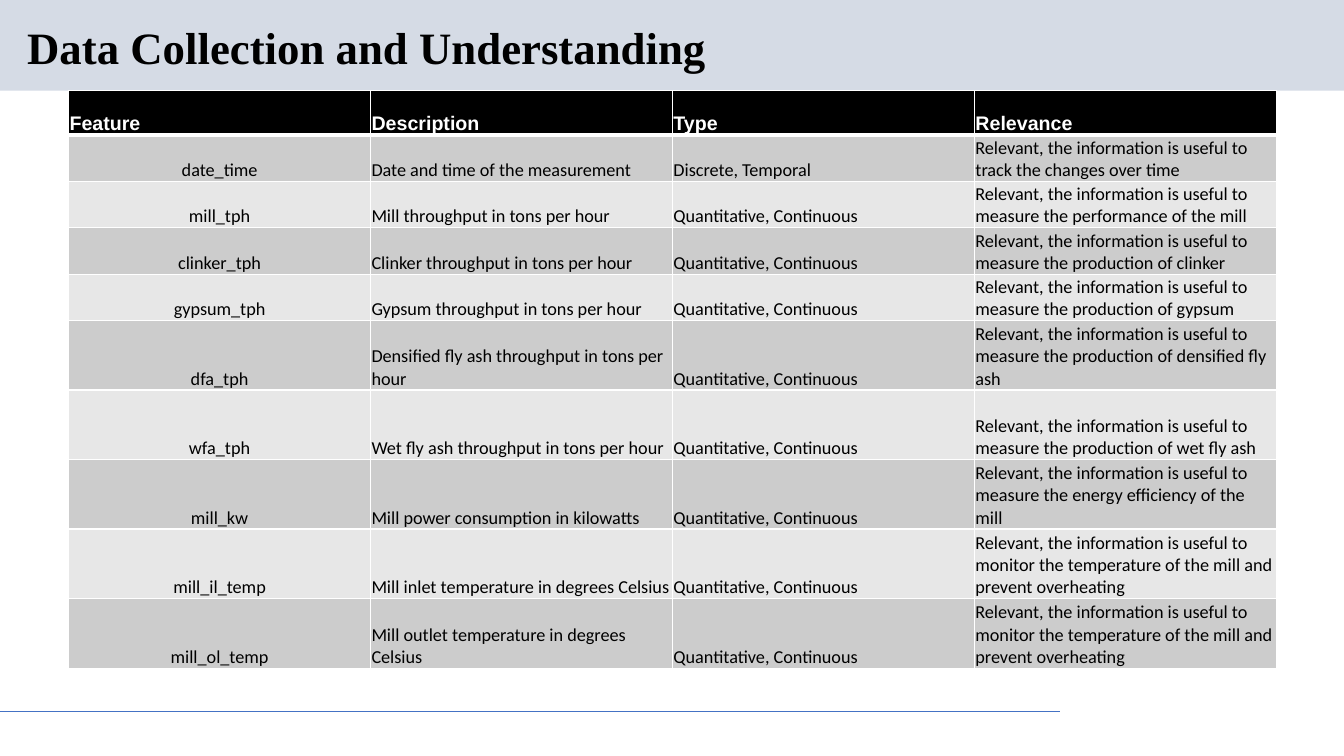
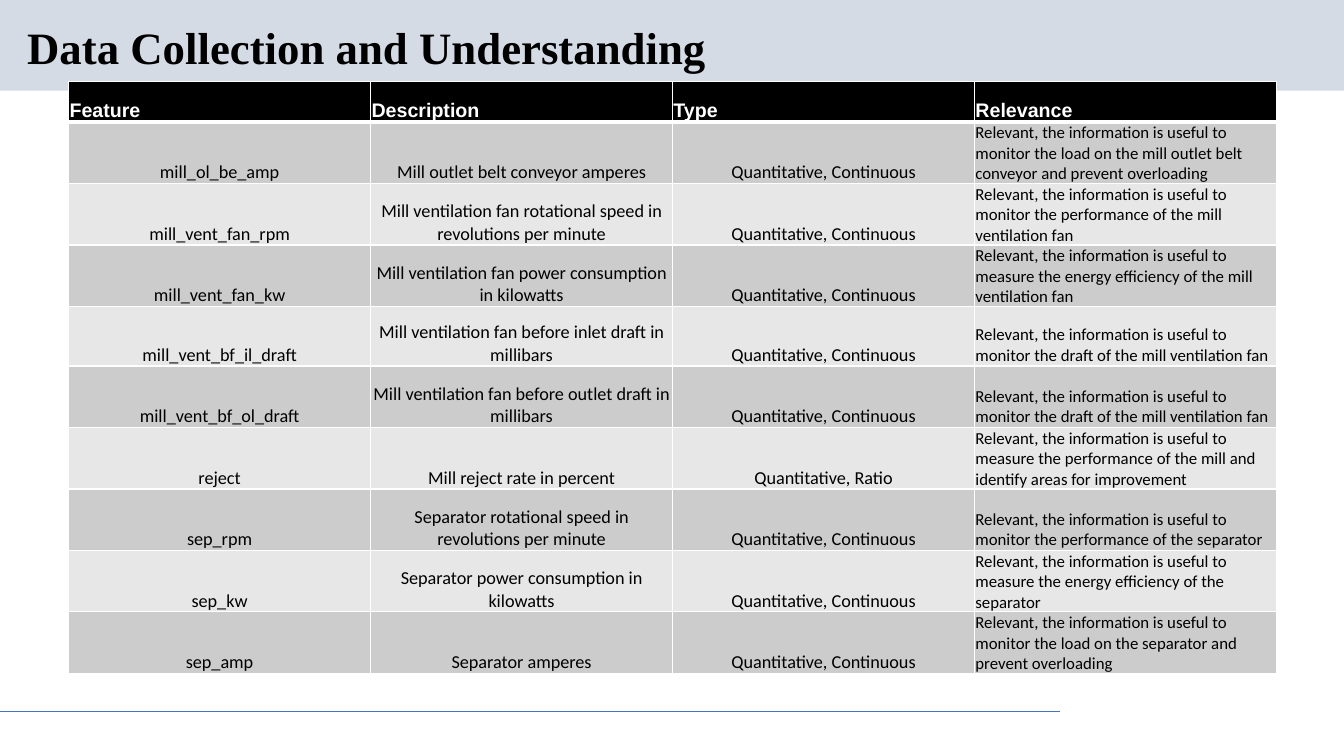
from lxml.etree import SubElement
from pptx import Presentation
from pptx.dml.color import RGBColor
from pptx.enum.shapes import MSO_CONNECTOR, MSO_SHAPE
from pptx.enum.text import MSO_ANCHOR as ANCHOR, PP_ALIGN as ALIGN
from pptx.oxml.ns import qn
from pptx.util import Inches, Pt

BLACK = RGBColor(0x00, 0x00, 0x00)
WHITE = RGBColor(0xFF, 0xFF, 0xFF)
BAND = RGBColor(0xD5, 0xDB, 0xE5)
FOOTER_LINE = RGBColor(0x44, 0x72, 0xC4)
ROW_FILLS = [RGBColor(0xCC, 0xCC, 0xCC), RGBColor(0xE7, 0xE7, 0xE7)]

TITLE = "Data Collection and Understanding"
TITLE_FONT = {"name": "Times New Roman", "size": Pt(32), "bold": True}
HEADER_FONT = {"name": "Arial", "size": Pt(14), "bold": True}
BODY_FONT = {"name": "Calibri", "size": Pt(13), "bold": False}
SMALL_FONT = {**BODY_FONT, "size": Pt(12)}
CELL_FORMAT = {
    "vertical_anchor": ANCHOR.BOTTOM,
    "margin_left": Inches(0.01),
    "margin_right": Inches(0.01),
    "margin_top": Inches(0.01),
    "margin_bottom": 0,
}

HEADERS = ["Feature", "Description", "Type", "Relevance"]
PURPOSE = "Relevant, the information is useful to "
CONTINUOUS = "Quantitative, Continuous"
COLUMN_WIDTH = 2.995

# One entry per slide; each row ends with what the feature is useful for
TABLES = [
    {
        "top": 0.9,
        "heights": [0.44] + [0.46] * 4 + [0.69] * 5,
        "aligns": [ALIGN.CENTER, ALIGN.LEFT, ALIGN.LEFT, ALIGN.LEFT],
        "fonts": [BODY_FONT] * 4,
        "rows": [
            ("date_time", "Date and time of the measurement", "Discrete, Temporal",
             "track the changes over time"),
            ("mill_tph", "Mill throughput in tons per hour", CONTINUOUS,
             "measure the performance of the mill"),
            ("clinker_tph", "Clinker throughput in tons per hour", CONTINUOUS,
             "measure the production of clinker"),
            ("gypsum_tph", "Gypsum throughput in tons per hour", CONTINUOUS,
             "measure the production of gypsum"),
            ("dfa_tph", "Densified fly ash throughput in tons per hour", CONTINUOUS,
             "measure the production of densified fly ash"),
            ("wfa_tph", "Wet fly ash throughput in tons per hour", CONTINUOUS,
             "measure the production of wet fly ash"),
            ("mill_kw", "Mill power consumption in kilowatts", CONTINUOUS,
             "measure the energy efficiency of the mill"),
            ("mill_il_temp", "Mill inlet temperature in degrees Celsius", CONTINUOUS,
             "monitor the temperature of the mill and prevent overheating"),
            ("mill_ol_temp", "Mill outlet temperature in degrees Celsius", CONTINUOUS,
             "monitor the temperature of the mill and prevent overheating"),
        ],
    },
    {
        "top": 0.81,
        "heights": [0.4] + [0.59] * 4 + [0.61] * 5,
        "aligns": [ALIGN.CENTER, ALIGN.CENTER, ALIGN.CENTER, ALIGN.LEFT],
        "fonts": [BODY_FONT] * 3 + [SMALL_FONT],
        "rows": [
            ("mill_ol_be_amp", "Mill outlet belt conveyor amperes", CONTINUOUS,
             "monitor the load on the mill outlet belt conveyor and prevent overloading"),
            ("mill_vent_fan_rpm",
             "Mill ventilation fan rotational speed in revolutions per minute", CONTINUOUS,
             "monitor the performance of the mill ventilation fan"),
            ("mill_vent_fan_kw", "Mill ventilation fan power consumption in kilowatts",
             CONTINUOUS, "measure the energy efficiency of the mill ventilation fan"),
            ("mill_vent_bf_il_draft", "Mill ventilation fan before inlet draft in millibars",
             CONTINUOUS, "monitor the draft of the mill ventilation fan"),
            ("mill_vent_bf_ol_draft", "Mill ventilation fan before outlet draft in millibars",
             CONTINUOUS, "monitor the draft of the mill ventilation fan"),
            ("reject", "Mill reject rate in percent", "Quantitative, Ratio",
             "measure the performance of the mill and identify areas for improvement"),
            ("sep_rpm", "Separator rotational speed in revolutions per minute", CONTINUOUS,
             "monitor the performance of the separator"),
            ("sep_kw", "Separator power consumption in kilowatts", CONTINUOUS,
             "measure the energy efficiency of the separator"),
            ("sep_amp", "Separator amperes", CONTINUOUS,
             "monitor the load on the separator and prevent overloading"),
        ],
    },
]


def write(paragraph, text, font_format, color, align=ALIGN.LEFT):
    paragraph.alignment = align
    run = paragraph.add_run()
    run.text = text
    run.font.color.rgb = color
    for name, value in font_format.items():
        setattr(run.font, name, value)


def add_borders(cell, top, bottom):
    properties = cell._tc.get_or_add_tcPr()
    for side, points in (("L", 1), ("R", 1), ("T", top), ("B", bottom)):
        border = SubElement(properties, qn(f"a:ln{side}"), w=str(Pt(points)))
        fill = SubElement(border, qn("a:solidFill"))
        SubElement(fill, qn("a:srgbClr"), val=str(WHITE))


presentation = Presentation()
presentation.slide_width = Inches(13.33)
presentation.slide_height = Inches(7.5)

for content in TABLES:
    slide = presentation.slides.add_slide(presentation.slide_layouts[6])

    # Title band and footer line
    band = slide.shapes.add_shape(
        MSO_SHAPE.RECTANGLE, 0, 0, presentation.slide_width, Inches(0.9))
    band.shadow.inherit = False
    band.fill.solid()
    band.fill.fore_color.rgb = BAND
    band.line.fill.background()

    footer = slide.shapes.add_connector(
        MSO_CONNECTOR.STRAIGHT, 0, Inches(7.06), Inches(10.51), Inches(7.06))
    footer.line.color.rgb = FOOTER_LINE
    footer.line.width = Pt(0.75)
    SubElement(footer._element.spPr, qn("a:effectLst"))

    # Title
    title = slide.shapes.add_textbox(
        Inches(0.17), Inches(0.19), Inches(11.58), Inches(0.62))
    title.text_frame.word_wrap = True
    title.text_frame.vertical_anchor = ANCHOR.MIDDLE
    paragraph = title.text_frame.paragraphs[0]
    paragraph.line_spacing = 0.9
    write(paragraph, TITLE, TITLE_FONT, BLACK)

    # Feature table
    heights = content["heights"]
    table = slide.shapes.add_table(
        len(heights), len(HEADERS), Inches(0.68), Inches(content["top"]),
        Inches(COLUMN_WIDTH * len(HEADERS)), Inches(sum(heights))).table
    for column in table.columns:
        column.width = Inches(COLUMN_WIDTH)
    for row, height in zip(table.rows, heights):
        row.height = Inches(height)

    body = [(*cells, PURPOSE + purpose) for *cells, purpose in content["rows"]]
    for row_index, texts in enumerate([HEADERS] + body):
        is_header = row_index == 0
        for column_index, text in enumerate(texts):
            cell = table.cell(row_index, column_index)
            for name, value in CELL_FORMAT.items():
                setattr(cell, name, value)
            add_borders(cell, top=3 if row_index == 1 else 1, bottom=3 if is_header else 1)
            cell.fill.solid()
            cell.fill.fore_color.rgb = BLACK if is_header else ROW_FILLS[(row_index - 1) % 2]
            paragraph = cell.text_frame.paragraphs[0]
            if is_header:
                write(paragraph, text, HEADER_FONT, WHITE)
            else:
                write(paragraph, text, content["fonts"][column_index], BLACK,
                      content["aligns"][column_index])

presentation.save("out.pptx")
